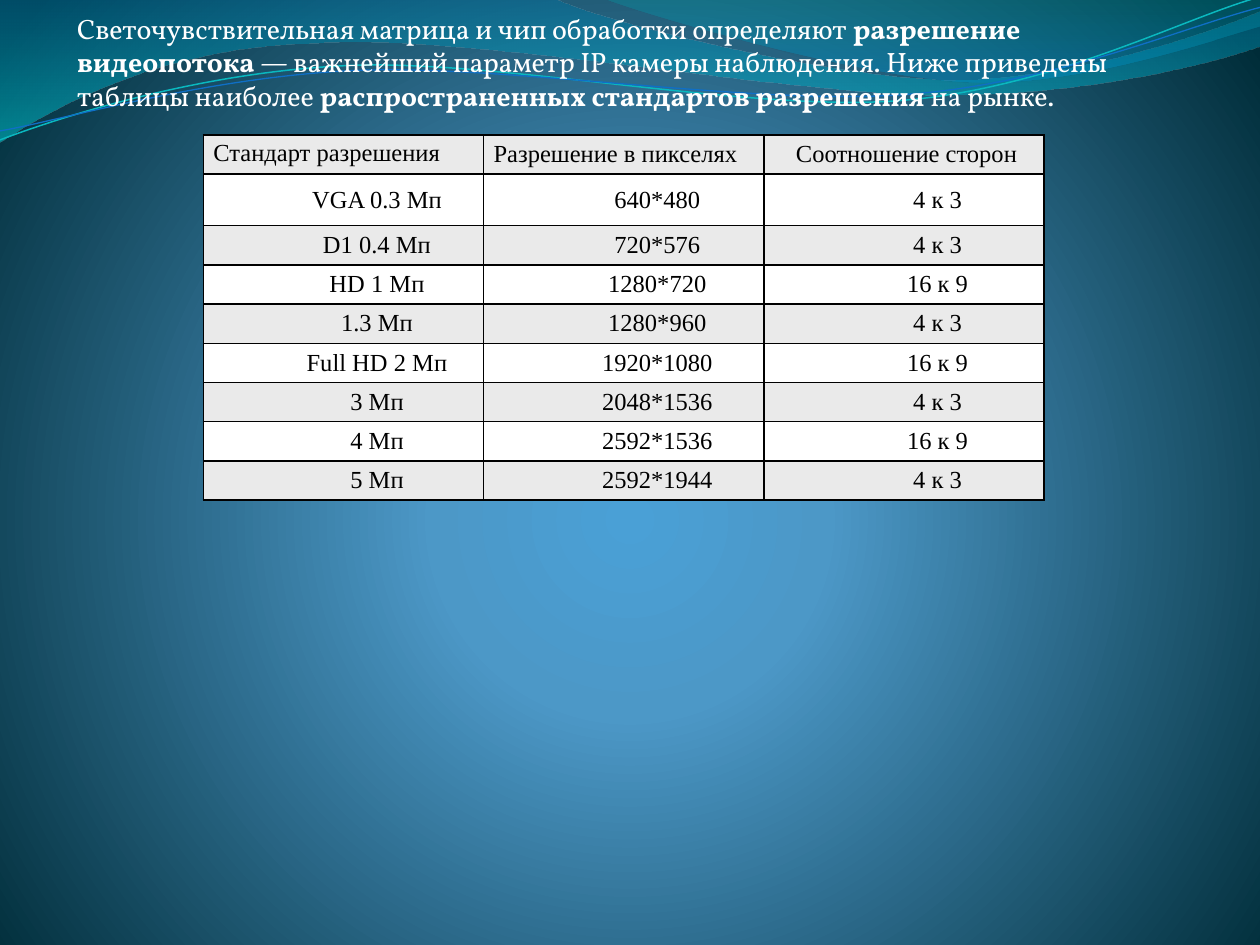
from math import cos, radians, sin

from lxml.etree import SubElement
from pptx import Presentation
from pptx.dml.color import RGBColor
from pptx.enum.text import MSO_ANCHOR as Anchor, MSO_AUTO_SIZE as AutoSize, PP_ALIGN as Align
from pptx.oxml import parse_xml
from pptx.oxml.ns import nsdecls, qn
from pptx.util import Cm, Pt

WHITE = RGBColor(0xFF, 0xFF, 0xFF)
BLACK = RGBColor(0x00, 0x00, 0x00)
GREY = RGBColor(0xEA, 0xEA, 0xEA)
SKY = RGBColor(0x4A, 0xA0, 0xD6)
STEEL = RGBColor(0x4C, 0x98, 0xC7)
NIGHT = RGBColor(0x00, 0x2C, 0x38)
OCEAN = RGBColor(0x00, 0x74, 0xA1)
AQUA = RGBColor(0x00, 0xC6, 0xCF)
TEAL = RGBColor(0x00, 0xA1, 0xA9)
AZURE = RGBColor(0x00, 0x8B, 0xBF)
CYAN = RGBColor(0x0A, 0xB8, 0xBF)
BLUE = RGBColor(0x0F, 0x6F, 0xC6)

DOWNWARD = '<a:lin ang="5400000" scaled="0"/>'
RADIAL = ('<a:path path="circle"><a:fillToRect l="10000" t="110000" '
          'r="10000" b="100000"/></a:path>')
TILT = 2.7

# Each step holds one point for a straight side or three for a curve.
WIDE_WAVE = [[(0, 0)], [(11.18, -0.03)],
             [(12.09, 0.43), (16.87, 1.6), (19.25, 1.6)],
             [(21.67, 1.6), (24.33, 0.66), (25.4, 0.23)],
             [(25.43, 0.91)],
             [(24.97, 1.12), (22.1, 1.93), (18.95, 1.91)],
             [(15.8, 1.91), (9.7, 0.71), (6.53, 0.86)],
             [(3.28, 0.91), (1.17, 2.11), (-0.03, 2.87)]]
RIGHT_WAVE = [[(12.17, -0.03)],
              [(12.93, 0.28), (17.32, 1.57), (19.53, 1.65)],
              [(21.74, 1.75), (24.41, 0.81), (25.4, 0.53)],
              [(25.4, 0)]]
CYAN_THREAD = [[(0, 2.82)],
               [(1.22, 2.36), (4.01, 1.45), (7.04, 1.32)],
               [(10.03, 1.19), (15.06, 2.26), (18.11, 2.03)],
               [(21.16, 1.8), (23.83, 0.38), (25.35, -0.05)]]
BLUE_THREAD = [[(0, 2.64)],
               [(1.19, 2.44), (4.17, 1.55), (7.19, 1.42)],
               [(10.24, 1.3), (15.16, 2.13), (18.21, 1.91)],
               [(21.23, 1.7), (23.9, 0.53), (25.4, 0.15)]]

INTRO = [("Светочувствительная матрица и чип обработки определяют ", False),
         ("разрешение видеопотока", True),
         (" — важнейший параметр IP камеры наблюдения. "
          "Ниже приведены таблицы наиболее ", False),
         ("распространенных стандартов разрешения", True),
         (" на рынке.", False)]
STANDARDS = [("Стандарт разрешения", "Разрешение в пикселях", "Соотношение сторон"),
             ("VGA 0.3 Мп", "640*480", "4 к 3"),
             ("D1 0.4 Мп", "720*576", "4 к 3"),
             ("HD 1 Мп", "1280*720", "16 к 9"),
             ("1.3 Мп", "1280*960", "4 к 3"),
             ("Full HD 2 Мп", "1920*1080", "16 к 9"),
             ("3 Мп", "2048*1536", "4 к 3"),
             ("4 Мп", "2592*1536", "16 к 9"),
             ("5 Мп", "2592*1944", "4 к 3")]


def write_span(para, text, font, size, color, bold=False):
    span = para.add_run()
    span.text = text
    span.font.name = font
    span.font.size = Pt(size)
    span.font.bold = bold
    span.font.color.rgb = color


def set_gradient(holder, stops, direction):
    marks = ""
    for place, color, opacity in stops:
        alpha = f'<a:alpha val="{opacity * 1000}"/>' if opacity < 100 else ""
        marks += (f'<a:gs pos="{place * 1000}">'
                  f'<a:srgbClr val="{color}">{alpha}</a:srgbClr></a:gs>')
    gradient = parse_xml(f'<a:gradFill {nsdecls("a")} rotWithShape="1">'
                         f'<a:gsLst>{marks}</a:gsLst>{direction}</a:gradFill>')
    holder.replace(holder.find(qn("a:solidFill")), gradient)


def paint_background(page):
    page.background.fill.solid()
    page.background.fill.fore_color.rgb = NIGHT
    holder = page._element.cSld.bg.bgPr
    set_gradient(holder, [(0, SKY, 100), (25, STEEL, 100), (100, NIGHT, 100)], RADIAL)


def turn(outline, center, degrees):
    c, s = cos(radians(degrees)), sin(radians(degrees))
    cx, cy = center
    return [[(cx + (x - cx) * c - (y - cy) * s, cy + (x - cx) * s + (y - cy) * c)
             for x, y in step] for step in outline]


def bend_sides(shape, outline):
    sides = iter(list(shape._element.iter(qn("a:lnTo"))))
    for step in outline[1:]:
        group = [next(sides) for _ in step]
        if len(step) == 3:
            curve = SubElement(group[0].getparent(), qn("a:cubicBezTo"))
            group[0].addprevious(curve)
            for side in group:
                curve.append(side[0])
                side.getparent().remove(side)


def add_outline(page, outline, close):
    start, *rest = [(Cm(x), Cm(y)) for step in outline for x, y in step]
    builder = page.shapes.build_freeform(*start)
    builder.add_line_segments(rest, close=close)
    shape = builder.convert_to_shape()
    bend_sides(shape, outline)
    shape.shadow.inherit = False
    return shape


def add_wave(page, outline, stops):
    wave = add_outline(page, outline, True)
    wave.line.fill.background()
    wave.fill.solid()
    set_gradient(wave._element.spPr, stops, DOWNWARD)


def add_thread(page, outline, center, color, width):
    thread = add_outline(page, turn(outline, center, TILT), False)
    thread.rotation = 360 - TILT
    thread.fill.background()
    thread.line.color.rgb = color
    thread.line.width = Pt(width)


def write_intro(page):
    box = page.shapes.title
    page.shapes._spTree.append(box._element)
    box.left, box.top, box.width, box.height = Cm(1.3), Cm(0.1), Cm(23.6), Cm(3.68)
    frame = box.text_frame
    frame.word_wrap = True
    frame.auto_size = AutoSize.NONE
    frame.vertical_anchor = Anchor.TOP
    frame.margin_right = Cm(1.5)
    para = frame.paragraphs[0]
    para.alignment = Align.LEFT
    for text, bold in INTRO:
        write_span(para, text, font="Vollkorn", size=16, color=WHITE, bold=bold)


def add_borders(cell):
    properties = cell._tc.get_or_add_tcPr()
    for side in ("lnL", "lnR", "lnT", "lnB"):
        properties.append(parse_xml(
            f'<a:{side} {nsdecls("a")} w="{Pt(1)}"><a:solidFill>'
            f'<a:srgbClr val="{BLACK}"/></a:solidFill></a:{side}>'))


def fill_cell(cell, text, fill, align, anchor, indent):
    add_borders(cell)
    cell.fill.solid()
    cell.fill.fore_color.rgb = fill
    cell.vertical_anchor = anchor
    cell.margin_left = Cm(0.2)
    cell.margin_right = cell.margin_top = cell.margin_bottom = Cm(0.1)
    para = cell.text_frame.paragraphs[0]
    para.alignment = align
    para._p.get_or_add_pPr().set("indent", str(indent))
    write_span(para, text, font="Times New Roman", size=14, color=BLACK)


def add_standards_table(page):
    heights = [Cm(0.79)] * len(STANDARDS)
    heights[1] = Cm(1.04)
    table = page.shapes.add_table(len(STANDARDS), 3, Cm(4.1), Cm(2.72),
                                  Cm(16.95), sum(heights)).table
    table.first_row = table.horz_banding = False
    for r, (texts, height) in enumerate(zip(STANDARDS, heights)):
        table.rows[r].height = height
        for c, text in enumerate(texts):
            header = r == 0
            fill_cell(table.cell(r, c), text,
                      fill=WHITE if r % 2 else GREY,
                      align=Align.JUSTIFY if header and c < 2 else Align.CENTER,
                      anchor=Anchor.TOP if header and c == 0 else Anchor.MIDDLE,
                      indent=0 if header else Cm(1.25))


def main():
    deck = Presentation()
    deck.slide_width, deck.slide_height = Cm(25.4), Cm(19.05)
    page = deck.slides.add_slide(deck.slide_layouts[5])
    paint_background(page)
    add_wave(page, WIDE_WAVE, [(0, OCEAN, 45), (100, AQUA, 55)])
    add_wave(page, RIGHT_WAVE, [(0, TEAL, 30), (80, AZURE, 45)])
    add_thread(page, CYAN_THREAD, (12.67, 1.46), CYAN, 0.85)
    add_thread(page, BLUE_THREAD, (12.69, 1.5), BLUE, 0.75)
    write_intro(page)
    add_standards_table(page)
    deck.save("out.pptx")


if __name__ == "__main__":
    main()
